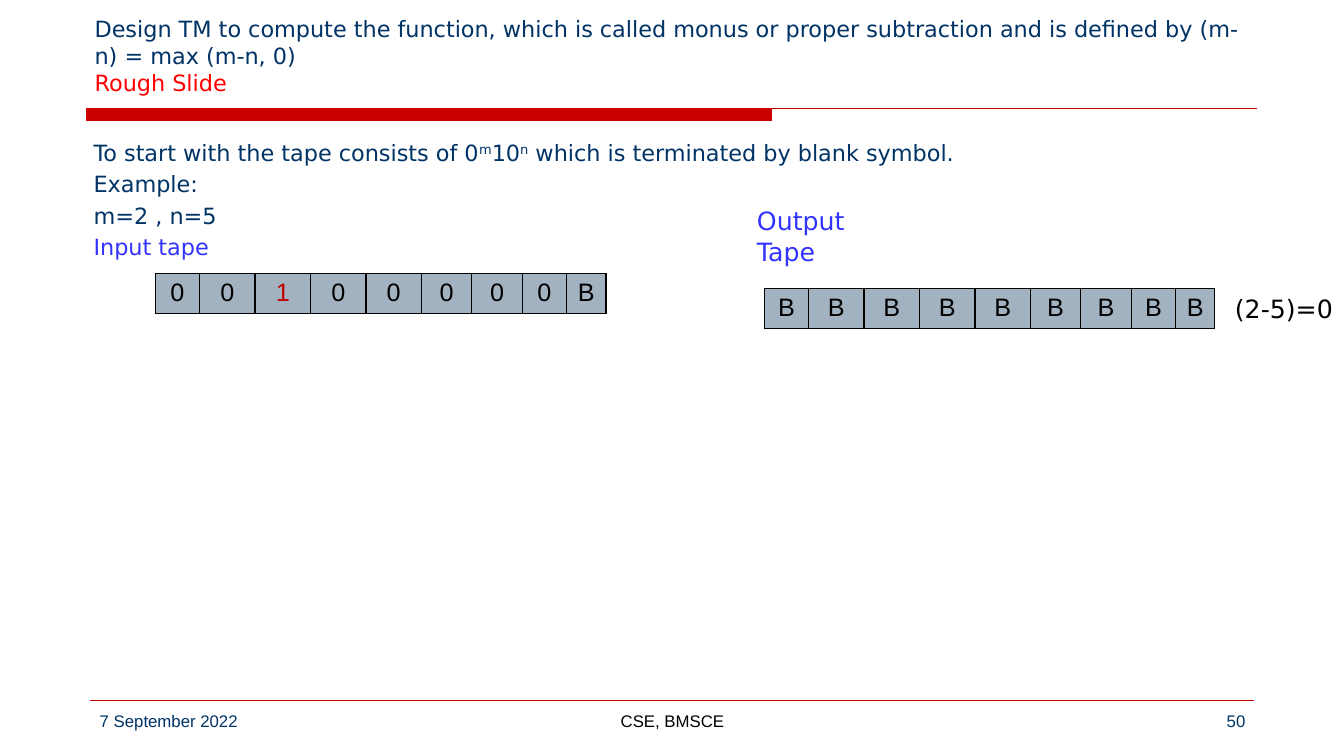
from dataclasses import dataclass

from lxml.etree import SubElement
from pptx import Presentation
from pptx.dml.color import RGBColor
from pptx.enum.shapes import MSO_CONNECTOR
from pptx.enum.text import MSO_ANCHOR, PP_ALIGN
from pptx.oxml.ns import qn
from pptx.util import Emu, Pt

PX = 9144


@dataclass(frozen=True)
class Theme:
    navy: str = "003366"
    red: str = "FF0000"
    rule: str = "CC0000"
    blue: str = "3333FF"
    black: str = "000000"
    mark: str = "C00000"
    cell: str = "A3B2C1"
    sans: str = "DejaVu Sans"
    arial: str = "Arial"
    body: int = 16
    label: int = 18
    footer: int = 12
    hairline: float = 0.75


T = Theme()
COLS = [44, 55, 55, 55, 55, 50, 50, 44, 39]


def px(*values):
    return [Emu(v * PX) for v in values]


def rgb(value):
    return RGBColor.from_string(value)


def add_run(p, text, size, color, font=T.sans, baseline=0):
    r = p.add_run()
    r.text = text
    for name, value in {"size": Pt(size), "name": font}.items():
        setattr(r.font, name, value)
    r.font.color.rgb = rgb(color)
    if baseline:
        r._r.get_or_add_rPr().set("baseline", str(baseline * 1000))


def add_frame(s, box, **formats):
    tf = s.shapes.add_textbox(*px(*box)).text_frame
    for name, value in {"word_wrap": True, **formats}.items():
        setattr(tf, name, value)
    return tf


def add_label(s, box, text, size, color, font=T.sans, align=PP_ALIGN.LEFT, wrap=True):
    p = add_frame(s, box, word_wrap=wrap).paragraphs[0]
    p.alignment = align
    add_run(p, text, size, color, font)


def add_title(s, box):
    x, y, w, h = box
    p = add_frame(s, box, vertical_anchor=MSO_ANCHOR.BOTTOM).paragraphs[0]
    add_run(p, "Design TM to compute the function, which is called monus or proper "
               "subtraction and is defined by (m-n) = max (m-n, 0)", T.body, T.navy)
    p.add_line_break()
    add_run(p, "Rough Slide", T.body, T.red)

    left, top, bar_w, bar_h, line_w = x + 2, y + h + 8, 679, 12, 1161
    fb = s.shapes.build_freeform(left, top, scale=PX)
    fb.add_line_segments([(left + bar_w, top), (left + bar_w, top + bar_h),
                          (left, top + bar_h)], close=True)
    fb.move_to(left, top)
    fb.add_line_segments([(left + line_w, top)], close=False)
    sp = fb.convert_to_shape()
    sp.shadow.inherit = False
    sp.fill.solid()
    sp.fill.fore_color.rgb = rgb(T.rule)
    sp.line.color.rgb = rgb(T.rule)
    sp.line.width = Pt(T.hairline)


def add_body(s, box):
    tf = add_frame(s, box)
    lines = [
        ([("To start with the tape consists of 0", 0), ("m", 30), ("10", 0), ("n", 30),
          (" which is terminated by blank symbol.", 0)], T.navy),
        ([("Example:", 0)], T.navy),
        ([("m=2 , n=5", 0)], T.navy),
        ([("Input tape", 0)], T.blue),
    ]
    for i, (runs, color) in enumerate(lines):
        p = tf.add_paragraph() if i else tf.paragraphs[0]
        p.alignment = PP_ALIGN.JUSTIFY
        if i:
            p.space_before = Pt(3.2)
        for text, baseline in runs:
            add_run(p, text, T.body, color, baseline=baseline)


def add_border(cell):
    tcPr = cell._tc.get_or_add_tcPr()
    for side in ("lnL", "lnR", "lnT", "lnB"):
        ln = SubElement(tcPr, qn(f"a:{side}"), w=str(Pt(1)))
        fill = SubElement(ln, qn("a:solidFill"))
        SubElement(fill, qn("a:srgbClr"), val=T.black)


def add_tape(s, box, symbols):
    tbl = s.shapes.add_table(1, len(symbols), *px(*box)).table
    for i, (symbol, width) in enumerate(zip(symbols, COLS)):
        tbl.columns[i].width = Emu(width * PX)
        cell = tbl.cell(0, i)
        add_border(cell)
        cell.fill.solid()
        cell.fill.fore_color.rgb = rgb(T.cell)
        p = cell.text_frame.paragraphs[0]
        p.alignment = PP_ALIGN.CENTER
        add_run(p, symbol, T.label, T.mark if symbol == "1" else T.black, T.arial)


def add_output(s, box):
    x, y, w, h = box
    add_label(s, (x, y, 150, 71), "Output Tape", T.label, T.blue)
    add_tape(s, (x + 17, y + 87, sum(COLS), 38), "B" * len(COLS))
    add_label(s, (x + w - 123, y + 87, 123, 40), "(2-5)=0", T.label, T.black, wrap=False)


def add_footer(s, box):
    x, y, w, h = box
    line = s.shapes.add_connector(MSO_CONNECTOR.STRAIGHT, *px(x, y, x + w, y))
    line.line.color.rgb = rgb(T.rule)
    line.line.width = Pt(T.hairline)
    SubElement(line._element.spPr, qn("a:effectLst"))
    for left, width, text, color, align in (
        (x, 289, "7 September 2022", T.navy, PP_ALIGN.LEFT),
        (x + 367, 422, "CSE, BMSCE", T.black, PP_ALIGN.CENTER),
        (x + w - 288, 289, "50", T.navy, PP_ALIGN.RIGHT),
    ):
        add_label(s, (left, y + 5, width, h - 5), text, T.footer, color, T.arial, align)


def main():
    prs = Presentation()
    prs.slide_width, prs.slide_height = px(1333, 750)
    s = prs.slides.add_slide(prs.slide_layouts[6])
    add_title(s, (84, 17, 1167, 83))
    add_body(s, (83, 133, 1167, 550))
    add_tape(s, (154, 271, sum(COLS), 38), "00100000B")
    add_output(s, (741, 199, 597, 127))
    add_footer(s, (89, 695, 1155, 40))
    prs.save("out.pptx")


if __name__ == "__main__":
    main()
